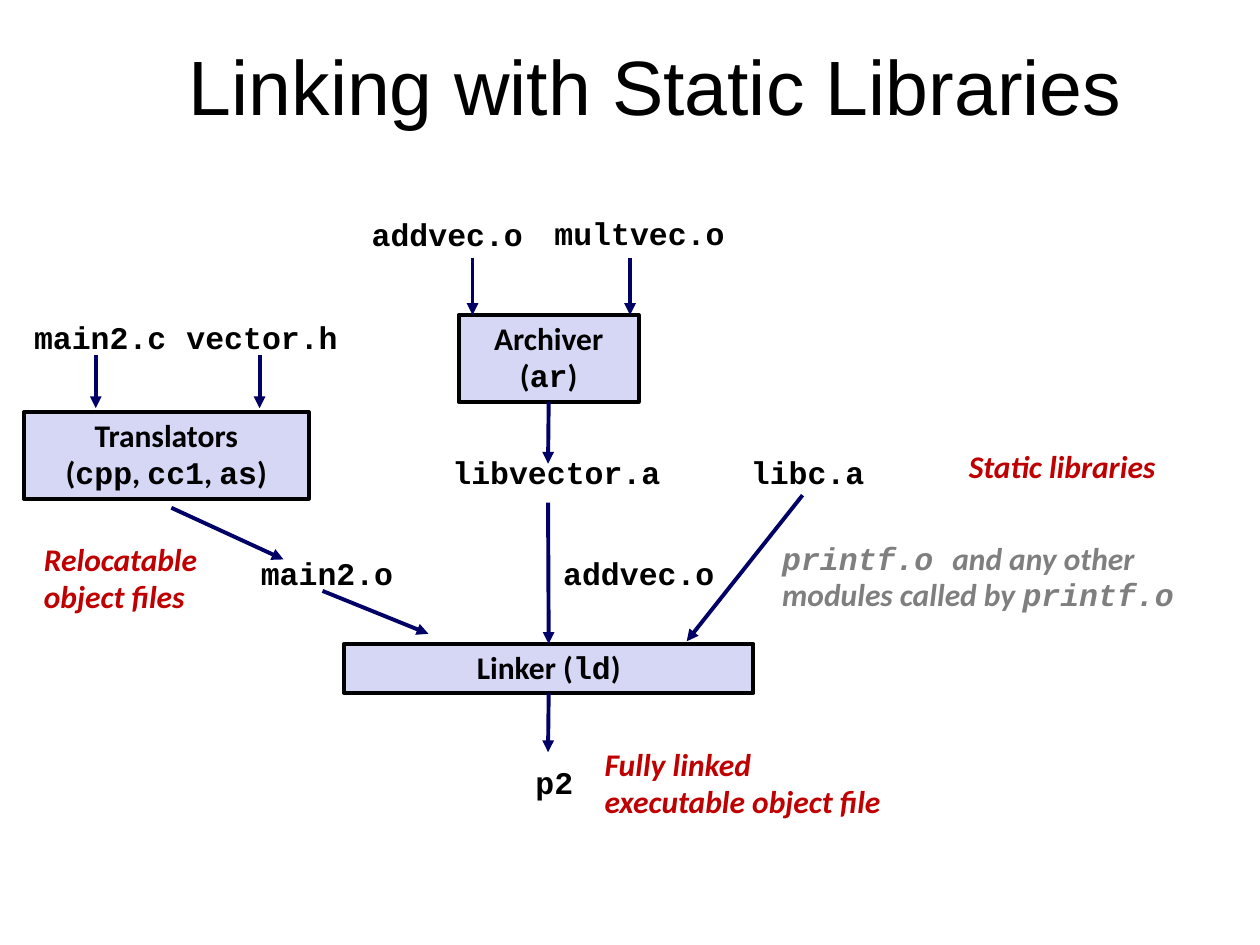
"""Build a slide that shows how static libraries are linked."""
from lxml.etree import SubElement
from pptx import Presentation
from pptx.dml.color import RGBColor
from pptx.enum.shapes import MSO_CONNECTOR as Link, MSO_SHAPE as Shape
from pptx.enum.text import MSO_ANCHOR as Anchor, MSO_AUTO_SIZE as Auto, PP_ALIGN as Align
from pptx.oxml.ns import qn
from pptx.util import Inches, Pt

BLACK = RGBColor(0, 0, 0)
NAVY = RGBColor(0, 0, 0x66)
LILAC = RGBColor(0xD6, 0xD6, 0xF5)
RED = RGBColor(0xC0, 0, 0)
GRAY = RGBColor(0x7F, 0x7F, 0x7F)


def write(shape, text, font="Calibri", size=18, color=BLACK, bold=True,
          italic=False, align=Align.CENTER, anchor=Anchor.TOP, wrap=False, fit=Auto.SHAPE_TO_FIT_TEXT):
    """Fill a shape with text; backticks mark code."""
    frame = shape.text_frame
    frame.word_wrap = wrap
    frame.auto_size = fit
    frame.vertical_anchor = anchor
    for i, line in enumerate(text.split("\n")):
        para = frame.add_paragraph() if i else frame.paragraphs[0]
        para.alignment = align
        para.line_spacing = 0.94 if line.startswith("`") else 0.98
        for j, part in enumerate(line.split("`")):
            if part:
                run = para.add_run()
                run.text = part
                run.font.name = "Courier New" if j % 2 else font
                run.font.size = Pt(size)
                run.font.bold = bold
                run.font.italic = italic
                run.font.color.rgb = color


def arrow(x1, y1, x2, y2):
    """Draw an arrow between two points."""
    line = shapes.add_connector(Link.STRAIGHT, Inches(x1), Inches(y1), Inches(x2), Inches(y2))
    line.line.color.rgb = NAVY
    line.line.width = Pt(2.25)
    SubElement(line.line._get_or_add_ln(), qn("a:tailEnd"), type="triangle")
    SubElement(line._element.spPr, qn("a:effectLst"))
    return line


deck = Presentation()
deck.slide_width, deck.slide_height = Inches(10), Inches(7.5)
shapes = deck.slides.add_slide(deck.slide_layouts[6]).shapes

title = shapes.add_textbox(Inches(0.44), Inches(0.27), Inches(9.53), Inches(0.86))
write(title, "Linking with Static Libraries", font="Arial", size=44, bold=False,
      anchor=Anchor.MIDDLE, wrap=True, fit=Auto.NONE)

boxes = {}
for name, text, x, y, w, h in [
    ("trans", "Translators\n(`cpp`, `cc1`, `as`)", 0.19, 3.27, 2.26, 0.69),
    ("arch", "Archiver\n(`ar`)", 3.64, 2.5, 1.43, 0.69),
    ("link", "Linker (`ld`)", 2.73, 5.11, 3.25, 0.39),
]:
    box = shapes.add_shape(Shape.RECTANGLE, Inches(x), Inches(y), Inches(w), Inches(h))
    box.shadow.inherit = False
    box.fill.solid()
    box.fill.fore_color.rgb = LILAC
    box.line.color.rgb = BLACK
    box.line.width = Pt(2.25)
    write(box, text, wrap=True)
    boxes[name] = box

for text, x, y, w in [
    ("addvec.o", 2.85, 1.68, 1.4),
    ("multvec.o", 4.3, 1.67, 1.55),
    ("main2.c", 0.17, 2.5, 1.25),
    ("vector.h", 1.38, 2.5, 1.4),
    ("libvector.a", 3.49, 3.57, 1.85),
    ("libc.a", 5.86, 3.57, 1.1),
    ("main2.o", 1.97, 4.37, 1.25),
    ("addvec.o", 4.37, 4.37, 1.4),
    ("p2", 4.15, 6.03, 0.5),
]:
    label = shapes.add_textbox(Inches(x), Inches(y), Inches(w), Inches(0.38))
    write(label, f"`{text}`")

for text, color, x, y, w, h in [
    ("Static libraries", RED, 7.59, 3.51, 1.68, 0.4),
    ("Relocatable\nobject files", RED, 0.25, 4.25, 1.42, 0.69),
    ("Fully linked\nexecutable object file", RED, 4.7, 5.88, 2.4, 0.69),
    ("`printf.o `and any other\nmodules called by `printf.o`", GRAY, 6.11, 4.25, 3.46, 0.68),
]:
    note = shapes.add_textbox(Inches(x), Inches(y), Inches(w), Inches(h))
    write(note, text, color=color, italic=True, align=Align.LEFT)

for x, top, end in [(0.76, 2.82, 3.24), (2.06, 2.82, 3.24), (3.75, 2.05, 2.5), (5, 2.05, 2.5)]:
    arrow(x, top, x, end)
arrow(1.36, 4.03, 2.25, 4.44)
arrow(2.56, 4.69, 3.4, 5.03)
arrow(6.37, 3.93, 5.45, 5.09)
arrow(4.35, 3.23, 4.35, 3.68).begin_connect(boxes["arch"], 2)
arrow(4.35, 3.99, 4.35, 5.11).end_connect(boxes["link"], 0)
arrow(4.35, 5.52, 4.35, 5.97).begin_connect(boxes["link"], 2)

deck.save("out.pptx")
